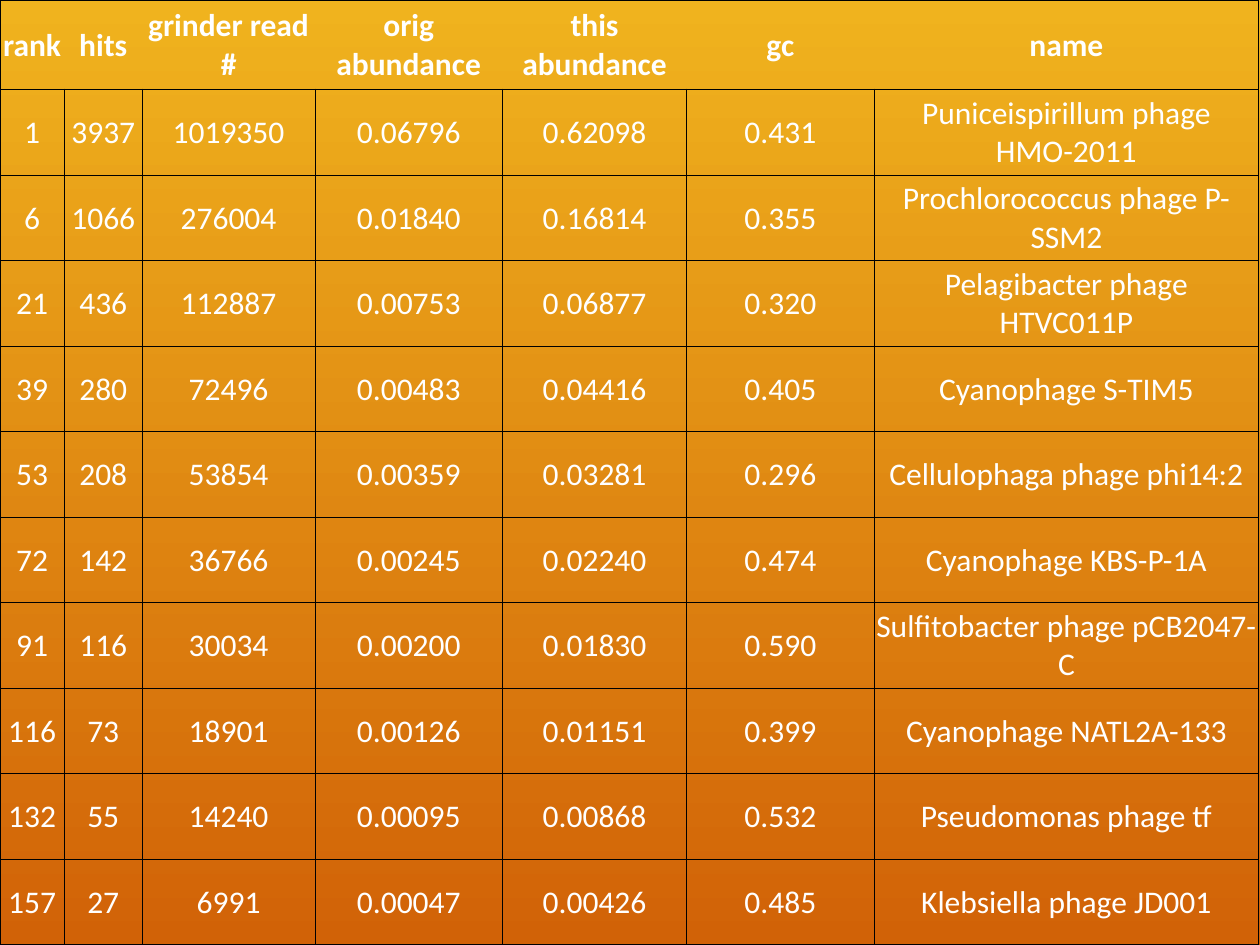
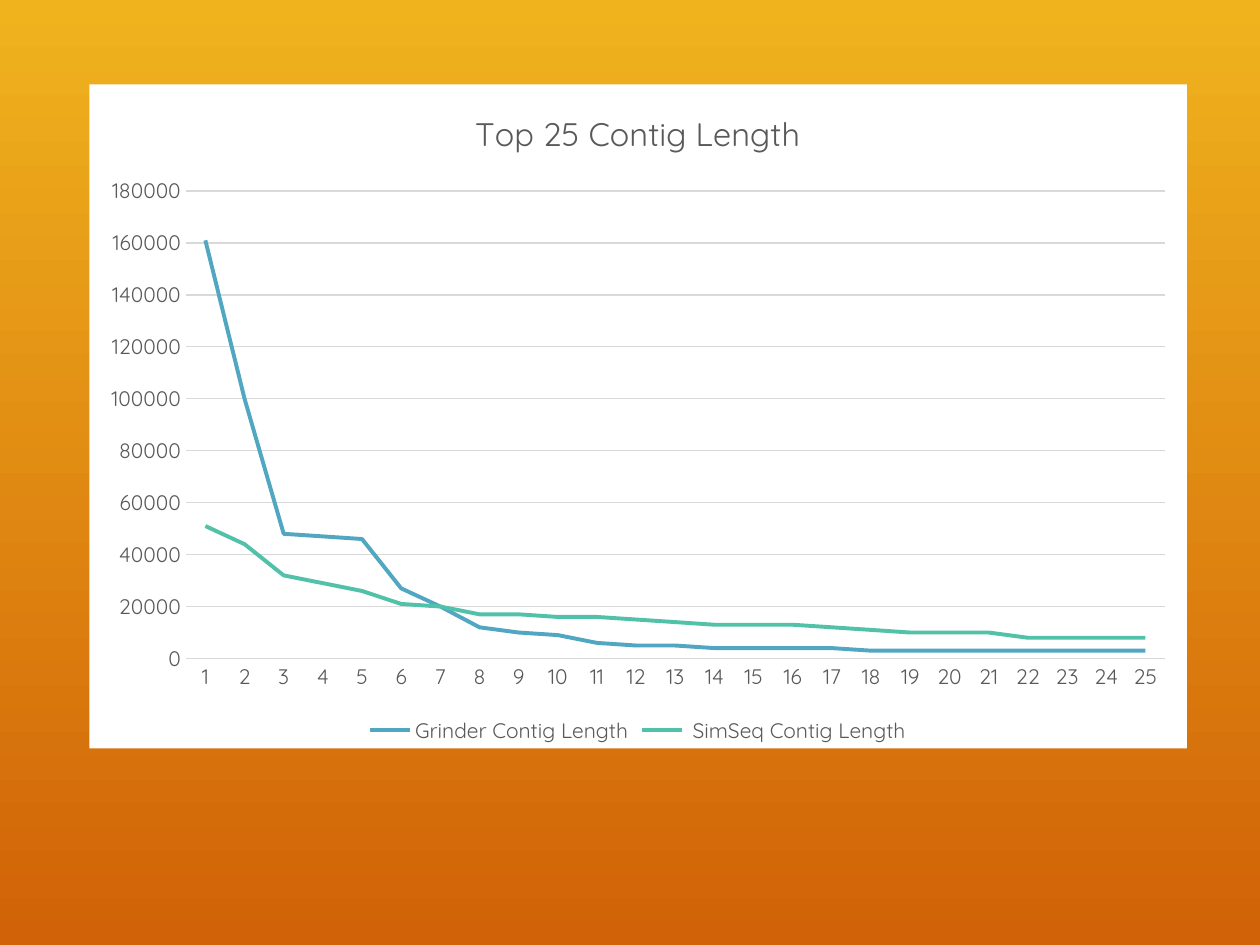
"""Build two slides on phage read counts and contig lengths."""
import dataclasses

import pptx
import pptx.chart.data
import pptx.dml.color
import pptx.enum.chart
import pptx.enum.text
import pptx.oxml
import pptx.oxml.ns
import pptx.util

Inches = pptx.util.Inches
Pt = pptx.util.Pt
A_NS = pptx.oxml.ns.nsdecls("a")
CHART_NS = pptx.oxml.ns.nsdecls("c", "a")


@dataclasses.dataclass(frozen=True)
class Theme:
    top: str = "F0B31E"
    base: str = "D16207"
    white: str = "FFFFFF"
    black: str = "000000"
    gray: str = "595959"
    grid: str = "D9D9D9"
    blue: str = "51A6C2"
    green: str = "51C2A9"
    table_font: str = "Calibri"
    chart_font: str = "Quicksand"
    table_size: float = 18
    title_size: float = 18.6
    label_size: float = 12
    thin: float = 0.5
    thick: float = 1
    axis_line: float = 0.75
    trend_line: float = 2.25


THEME = Theme()

COLUMNS = {"rank": 0.51, "hits": 0.62, "grinder read #": 1.37,
           "orig abundance": 1.49, "this abundance": 1.46, "gc": 1.49,
           "name": 3.05}
HEAD_HEIGHT = 0.71
PHAGES = [
    ("1", "3937", "1019350", "0.06796", "0.62098", "0.431",
     "Puniceispirillum phage HMO-2011"),
    ("6", "1066", "276004", "0.01840", "0.16814", "0.355",
     "Prochlorococcus phage P-SSM2"),
    ("21", "436", "112887", "0.00753", "0.06877", "0.320",
     "Pelagibacter phage HTVC011P"),
    ("39", "280", "72496", "0.00483", "0.04416", "0.405",
     "Cyanophage S-TIM5"),
    ("53", "208", "53854", "0.00359", "0.03281", "0.296",
     "Cellulophaga phage phi14:2"),
    ("72", "142", "36766", "0.00245", "0.02240", "0.474",
     "Cyanophage KBS-P-1A"),
    ("91", "116", "30034", "0.00200", "0.01830", "0.590",
     "Sulfitobacter phage pCB2047-C"),
    ("116", "73", "18901", "0.00126", "0.01151", "0.399",
     "Cyanophage NATL2A-133"),
    ("132", "55", "14240", "0.00095", "0.00868", "0.532",
     "Pseudomonas phage tf"),
    ("157", "27", "6991", "0.00047", "0.00426", "0.485",
     "Klebsiella phage JD001"),
]

CONTIGS = [
    ("Grinder Contig Length", THEME.blue,
     [161000, 100000, 48000, 47000, 46000, 27000, 20000, 12000, 10000,
      9000, 6000, 5000, 5000, 4000, 4000, 4000, 4000] + [3000] * 8),
    (" SimSeq Contig Length", THEME.green,
     [51000, 44000, 32000, 29000, 26000, 21000, 20000, 17000, 17000,
      16000, 16000, 15000, 14000, 13000, 13000, 12000 + 1000, 12000,
      11000, 10000, 10000, 10000] + [8000] * 4),
]


def paint(color):
    return pptx.dml.color.RGBColor.from_string(color)


def style(font, name, size, color, bold=False):
    font.name = name
    font.size = Pt(size)
    font.color.rgb = paint(color)
    font.bold = bold


def write(frame, text, **look):
    """Put one centred line of formatted text in a frame."""
    line = frame.paragraphs[0]
    line.alignment = pptx.enum.text.PP_ALIGN.CENTER
    run = line.add_run()
    run.text = text
    style(run.font, **look)


def stroke(line, color, width):
    line.color.rgb = paint(color)
    line.width = Pt(width)


def add_slide(deck):
    slide = deck.slides.add_slide(deck.slide_layouts[6])
    fill = slide.background.fill
    fill.gradient()
    fill.gradient_angle = 270
    for stop, color, place in zip(fill.gradient_stops,
                                  (THEME.top, THEME.base), (0, 1)):
        stop.color.rgb = paint(color)
        stop.position = place
    return slide


def edge(cell, widths):
    """Draw cell borders from widths by side, where zero hides a side."""
    props = cell._tc.get_or_add_tcPr()
    for spot, side in enumerate("LRTB"):
        width = widths[side]
        ink = (f'<a:solidFill><a:srgbClr val="{THEME.black}"/></a:solidFill>'
               if width else "<a:noFill/>")
        props.insert(spot, pptx.oxml.parse_xml(
            f'<a:ln{side} {A_NS} w="{Pt(width)}">{ink}</a:ln{side}>'))


def fill_cell(cell, text, head, first, last):
    cell.fill.background()
    cell.vertical_anchor = pptx.enum.text.MSO_ANCHOR.MIDDLE
    cell.margin_left = cell.margin_right = cell.margin_top = Inches(0.01)
    cell.margin_bottom = 0
    write(cell.text_frame, text, name=THEME.table_font,
          size=THEME.table_size, color=THEME.white, bold=head)
    widths = dict.fromkeys("LRTB", THEME.thin)
    if head:
        widths.update(L=THEME.thin if first else 0,
                      R=THEME.thin if last else 0, B=THEME.thick)
    edge(cell, widths)


def add_grid(slide, columns, rows, width, height):
    lines = [tuple(columns), *rows]
    table = slide.shapes.add_table(len(lines), len(columns), 0, 0,
                                   Inches(width), Inches(height)).table
    table.first_row = table.horz_banding = False
    for column, span in zip(table.columns, columns.values()):
        column.width = Inches(span)
    for y, line in enumerate(lines):
        table.rows[y].height = Inches(
            (height - HEAD_HEIGHT) / len(rows) if y else HEAD_HEIGHT)
        for x, text in enumerate(line):
            fill_cell(table.cell(y, x), text, head=y == 0, first=x == 0,
                      last=x == len(line) - 1)


def add_trend(slide, title, series, left, top, width, height):
    kinds = pptx.enum.chart
    data = pptx.chart.data.CategoryChartData()
    data.categories = [str(n + 1) for n in range(len(series[0][2]))]
    for name, _, values in series:
        data.add_series(name, values)
    chart = slide.shapes.add_chart(
        kinds.XL_CHART_TYPE.LINE, Inches(left), Inches(top), Inches(width),
        Inches(height), data).chart
    label = dict(name=THEME.chart_font, size=THEME.label_size,
                 color=THEME.gray)
    style(chart.font, **label)
    chart.element.find(pptx.oxml.ns.qn("c:chart")).addnext(
        pptx.oxml.parse_xml(
            f'<c:spPr {CHART_NS}><a:solidFill><a:srgbClr val="{THEME.white}"/>'
            '</a:solidFill><a:ln><a:noFill/></a:ln></c:spPr>'))

    write(chart.chart_title.text_frame, title,
          **{**label, "size": THEME.title_size})
    chart.chart_title.include_in_layout = False
    chart.has_legend = True
    chart.legend.position = kinds.XL_LEGEND_POSITION.BOTTOM
    chart.legend.include_in_layout = False
    style(chart.legend.font, **label)

    for axis in (chart.category_axis, chart.value_axis):
        axis.major_tick_mark = kinds.XL_TICK_MARK.NONE
        axis.minor_tick_mark = kinds.XL_TICK_MARK.NONE
        style(axis.tick_labels.font, **label)
    scale = chart.value_axis
    scale.minimum_scale, scale.maximum_scale = 0, 180000
    scale.major_unit = 20000
    scale.format.line.fill.background()
    for line in (chart.category_axis.format.line,
                 scale.major_gridlines.format.line):
        stroke(line, THEME.grid, THEME.axis_line)

    plot = chart.plots[0]
    plot.vary_by_categories = False
    for trend, (_, color, _) in zip(plot.series, series):
        trend.smooth = False
        stroke(trend.format.line, color, THEME.trend_line)


def main():
    deck = pptx.Presentation()
    deck.slide_width, deck.slide_height = Inches(10), Inches(7.5)
    add_grid(add_slide(deck), COLUMNS, PHAGES, 10, 7.5)
    add_trend(add_slide(deck), "Top 25 Contig Length", CONTIGS,
              0.71, 0.67, 8.71, 5.27)
    deck.save("out.pptx")


if __name__ == "__main__":
    main()
